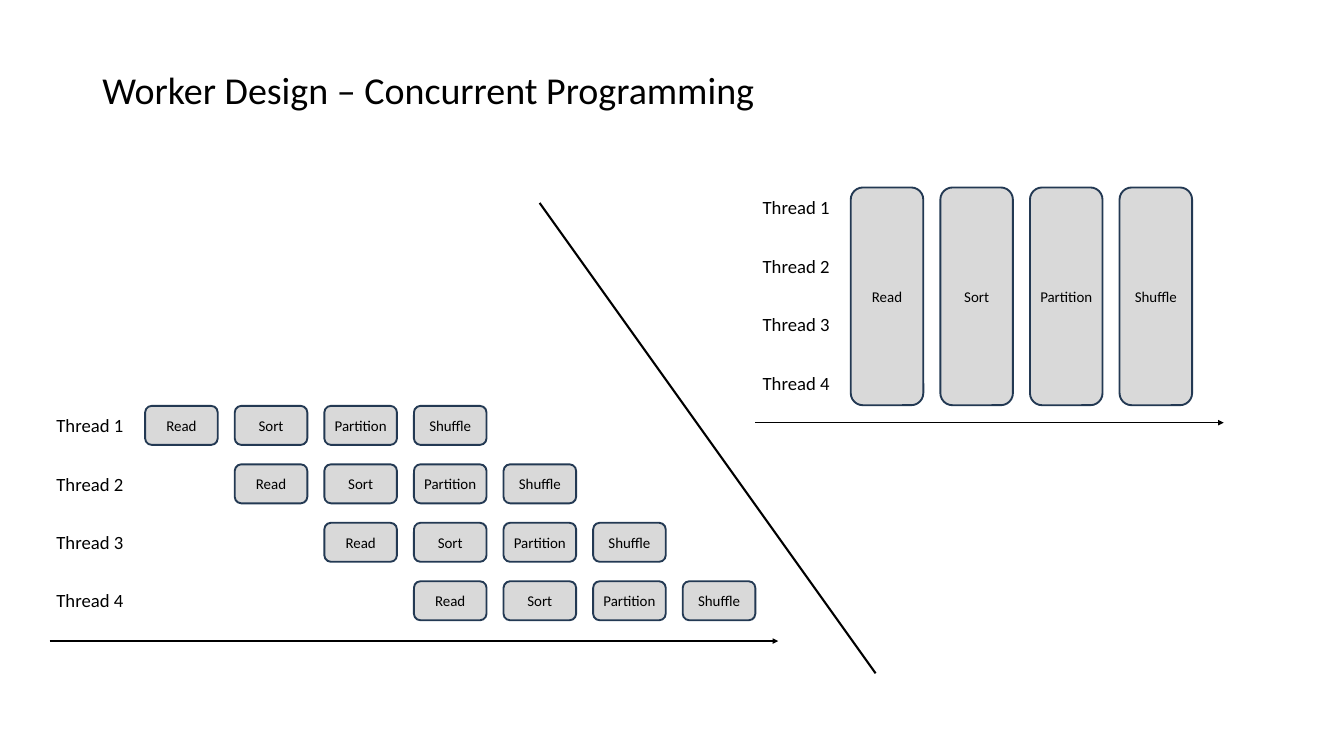
from lxml import etree
from pptx import Presentation
from pptx.dml.color import RGBColor
from pptx.enum.shapes import MSO_CONNECTOR as Conn, MSO_SHAPE as Shape
from pptx.enum.text import MSO_ANCHOR as Anchor, MSO_AUTO_SIZE as Fit, PP_ALIGN as Align
from pptx.oxml.ns import qn
from pptx.util import Inches, Pt

STAGES = ["Read", "Sort", "Partition", "Shuffle"]
BLACK, GRAY, NAVY = "000000", "D9D9D9", "233953"
COL = 4 / 3   # distance between stages
ROW = 0.87    # distance between threads
WIDE, HIGH = 1.08, 0.58


def color(code):
    return RGBColor.from_string(code)


def write(frame, text, size, align):
    para = frame.paragraphs[0]
    para.text = text
    para.alignment = align
    para.font.name = "Calibri"
    para.font.size = Pt(size)
    para.font.color.rgb = color(BLACK)


def add_title(slide, text):
    box = slide.shapes.add_textbox(Inches(1.17), Inches(0.71), Inches(10.41), Inches(1.25))
    frame = box.text_frame
    frame.word_wrap = True
    frame.vertical_anchor = Anchor.MIDDLE
    write(frame, text, 40.7, Align.CENTER)


def add_label(slide, text, x, y):
    box = slide.shapes.add_textbox(Inches(x), Inches(y), Inches(1.21), Inches(0.44))
    frame = box.text_frame
    frame.word_wrap = False
    frame.auto_size = Fit.SHAPE_TO_FIT_TEXT
    write(frame, text, 20, Align.LEFT)


def add_stage(slide, text, x, y, high):
    box = slide.shapes.add_shape(
        Shape.ROUNDED_RECTANGLE, Inches(x), Inches(y), Inches(WIDE), Inches(high))
    box.shadow.inherit = False
    box.fill.solid()
    box.fill.fore_color.rgb = color(GRAY)
    box.line.color.rgb = color(NAVY)
    box.line.width = Pt(2)
    frame = box.text_frame
    frame.margin_left = frame.margin_right = Inches(0.05)
    frame.vertical_anchor = Anchor.MIDDLE
    write(frame, text, 16, Align.CENTER)


def add_line(slide, x1, y1, x2, y2, width, arrow=False):
    line = slide.shapes.add_connector(
        Conn.STRAIGHT, Inches(x1), Inches(y1), Inches(x2), Inches(y2))
    line.line.color.rgb = color(BLACK)
    line.line.width = Pt(width)
    if arrow:
        etree.SubElement(line.line._get_or_add_ln(), qn("a:tailEnd"), type="triangle")
    etree.SubElement(line._element.spPr, qn("a:effectLst"))


def add_threads(slide, x, y):
    for row in range(4):
        add_label(slide, f"Thread {row + 1}", x, y + row * ROW)


def add_row(slide, x, y, high):
    for col, stage in enumerate(STAGES):
        add_stage(slide, stage, x + col * COL, y, high)


def main():
    deck = Presentation()
    deck.slide_width, deck.slide_height = Inches(20), Inches(11.25)
    slide = deck.slides.add_slide(deck.slide_layouts[6])
    add_title(slide, "Worker Design – Concurrent Programming")

    # Divider between the two designs
    add_line(slide, 8.03, 3.02, 13.03, 10.02, 2.25)

    # Pipeline: each thread starts one stage later
    add_line(slide, 0.74, 9.54, 11.58, 9.54, 1.5, arrow=True)
    add_threads(slide, 0.74, 6.11)
    for row in range(4):
        add_row(slide, 2.16 + row * COL, 6.04 + row * ROW, HIGH)

    # Lockstep: all threads share each stage
    add_line(slide, 11.24, 6.29, 18.21, 6.29, 1.5, arrow=True)
    add_threads(slide, 11.25, 2.87)
    add_row(slide, 12.66, 2.79, 3.24)

    deck.save("out.pptx")


if __name__ == "__main__":
    main()
